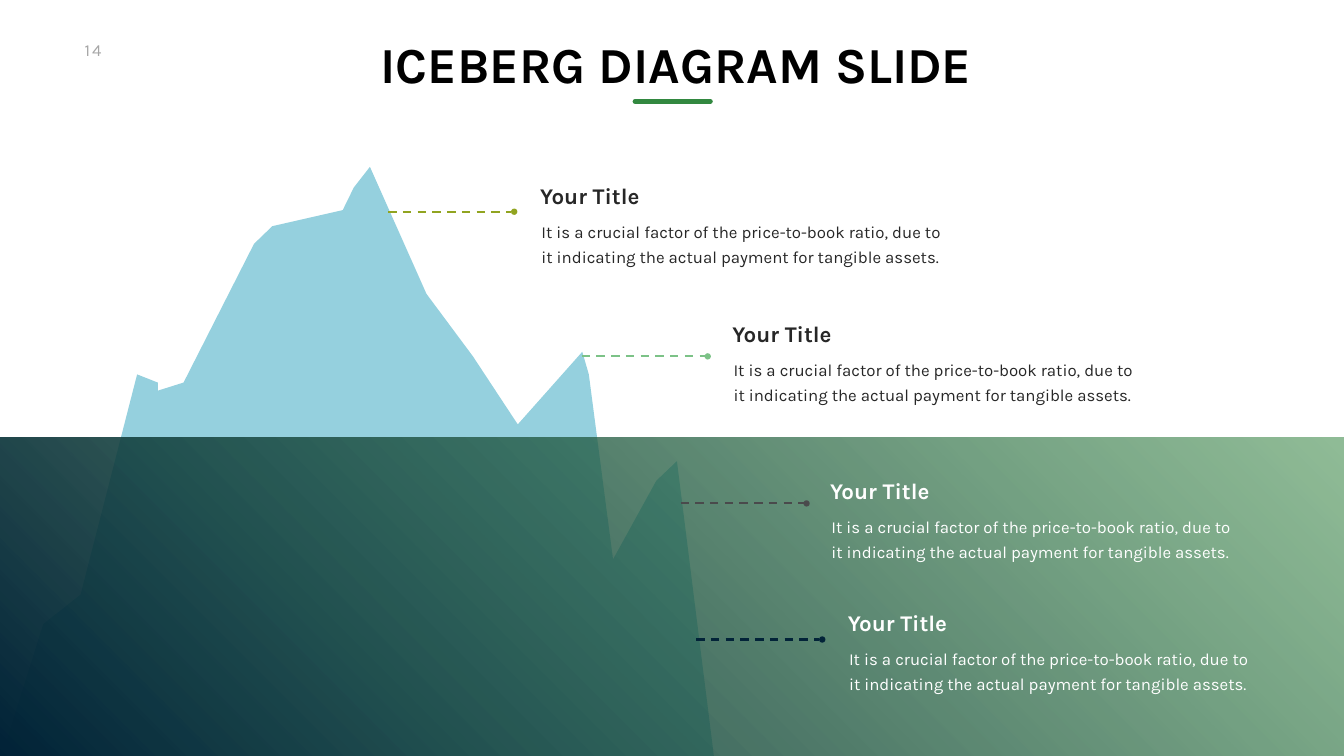
from lxml import etree
from pptx import Presentation
from pptx.dml.color import RGBColor
from pptx.enum import dml, shapes, text
from pptx.oxml.ns import qn
from pptx.util import Cm, Pt

FONT = "Karla"
BLACK = RGBColor(0x00, 0x00, 0x00)
INK = RGBColor(0x27, 0x27, 0x27)
WHITE = RGBColor(0xFF, 0xFF, 0xFF)
GREY = RGBColor(0xA6, 0xA6, 0xA6)
ICE = RGBColor(0x95, 0xD0, 0xDE)
NAVY = RGBColor(0x02, 0x23, 0x38)
SEA_GREEN = RGBColor(0x42, 0x8D, 0x4E)
BAR_GREEN = RGBColor(0x32, 0x88, 0x40)
OLIVE = RGBColor(0x91, 0xA4, 0x20)
MINT = RGBColor(0x7C, 0xC2, 0x87)
SLATE = RGBColor(0x4A, 0x4A, 0x4C)

# Content, lengths in cm
WIDTH, HEIGHT, WATERLINE = 67.72, 38.1, 22.05
TITLE = "ICEBERG DIAGRAM SLIDE"
PAGE = "14"
HEADING = "Your Title"
BODY = ("It is a crucial factor of the price-to-book ratio, due to "
        "it indicating the actual payment for tangible assets.")
# heading left and top, leader start x and y, leader colour, text colour
CALLOUTS = [
    (26.97, 9.04, 19.56, 10.67, OLIVE, INK),
    (36.65, 15.98, 29.31, 17.96, MINT, INK),
    (41.58, 23.9, 34.29, 25.37, SLATE, WHITE),
    (42.47, 30.56, 35.08, 32.23, NAVY, WHITE),
]
LEADER_LENGTH = 6.35
HEADING_SIZE, BODY_SIZE = (5.97, 1.63), (21.34, 3.02)
BODY_INSETS = (0.61, 0.3, 0.61, 0.3)
ICEBERG = [
    (0.08, 38.1), (2.18, 31.45), (4.06, 29.97), (6.91, 18.87), (7.95, 19.28),
    (7.95, 19.69), (9.25, 19.28), (12.8, 12.29), (13.72, 11.4), (17.27, 10.59),
    (17.83, 9.45), (18.64, 8.41), (21.49, 14.81), (23.83, 17.96),
    (26.09, 21.39), (29.34, 17.73), (29.67, 18.87), (30.89, 28.19),
    (33.07, 24.23), (34.11, 23.24), (35.97, 38.1),
]


def add_words(slide, words, box, size, color, bold=False, wrap=True,
              align=text.PP_ALIGN.LEFT, anchor=text.MSO_ANCHOR.TOP,
              insets=(0.25, 0.13, 0.25, 0.13), leading=None):
    frame = slide.shapes.add_textbox(*map(Cm, box)).text_frame
    frame.word_wrap = wrap
    frame.auto_size = text.MSO_AUTO_SIZE.SHAPE_TO_FIT_TEXT
    frame.vertical_anchor = anchor
    (frame.margin_left, frame.margin_top,
     frame.margin_right, frame.margin_bottom) = map(Cm, insets)
    paragraph = frame.paragraphs[0]
    paragraph.alignment = align
    if leading:
        paragraph.line_spacing = Pt(leading)
    run = paragraph.add_run()
    run.text = words
    run.font.name, run.font.size, run.font.bold = FONT, Pt(size), bold
    run.font.color.rgb = color
    return run


def add_rule(slide, x, y, length, color, weight):
    rule = slide.shapes.add_connector(
        shapes.MSO_CONNECTOR.STRAIGHT, Cm(x), Cm(y), Cm(x + length), Cm(y))
    rule.line.color.rgb = color
    rule.line.width = Pt(weight)
    etree.SubElement(rule._element.spPr, qn("a:effectLst"))
    return rule


def add_iceberg(slide):
    start, *rest = [(Cm(x), Cm(y)) for x, y in ICEBERG]
    builder = slide.shapes.build_freeform(*start)
    builder.add_line_segments(rest, close=True)
    iceberg = builder.convert_to_shape()
    iceberg.shadow.inherit = False
    iceberg.fill.solid()
    iceberg.fill.fore_color.rgb = ICE
    iceberg.line.fill.background()


def add_sea(slide):
    sea = slide.shapes.add_shape(
        shapes.MSO_SHAPE.RECTANGLE, 0, Cm(WATERLINE), Cm(WIDTH),
        Cm(HEIGHT - WATERLINE))
    sea.shadow.inherit = False
    sea.line.fill.background()
    sea.fill.gradient()
    sea.fill.gradient_angle = 45
    deep, shallow = sea.fill.gradient_stops
    deep.color.rgb, deep.position = NAVY, 0
    shallow.color.rgb, shallow.position = SEA_GREEN, 1
    # The shallow end lets the iceberg show through
    for color in sea._element.spPr.findall(".//" + qn("a:srgbClr"))[1:]:
        etree.SubElement(color, qn("a:alpha"), val="59000")


def add_callout(slide, left, top, x, y, leader_color, text_color):
    leader = add_rule(slide, x, y, LEADER_LENGTH, leader_color, 3)
    leader.line.dash_style = dml.MSO_LINE.DASH
    etree.SubElement(leader.line._get_or_add_ln(), qn("a:tailEnd"), type="oval")
    add_words(slide, HEADING, (left, top, *HEADING_SIZE), 32, text_color,
              bold=True, wrap=False, anchor=text.MSO_ANCHOR.MIDDLE)
    add_words(slide, BODY, (left - 0.3, top + HEADING_SIZE[1], *BODY_SIZE), 24,
              text_color, align=text.PP_ALIGN.JUSTIFY, insets=BODY_INSETS,
              leading=35)


def main():
    deck = Presentation()
    deck.slide_width, deck.slide_height = Cm(WIDTH), Cm(HEIGHT)
    slide = deck.slides.add_slide(deck.slide_layouts[6])

    # Page number, title and its underline
    page = add_words(slide, PAGE, (4.01, 1.88, 1.9, 1.27), 24, GREY, wrap=False)
    page.font._element.set("spc", "300")
    add_words(slide, TITLE, (18.21, 1.65, 31.47, 3.07), 72, BLACK, bold=True,
              align=text.PP_ALIGN.CENTER, insets=(0.25, 0, 0, 0))
    underline = add_rule(slide, 32, 5.11, 3.79, BAR_GREEN, 7)
    underline.line._get_or_add_ln().set("cap", "rnd")

    # Iceberg, the sea over it, and the callouts
    add_iceberg(slide)
    add_sea(slide)
    for callout in CALLOUTS:
        add_callout(slide, *callout)

    deck.save("out.pptx")


if __name__ == "__main__":
    main()
